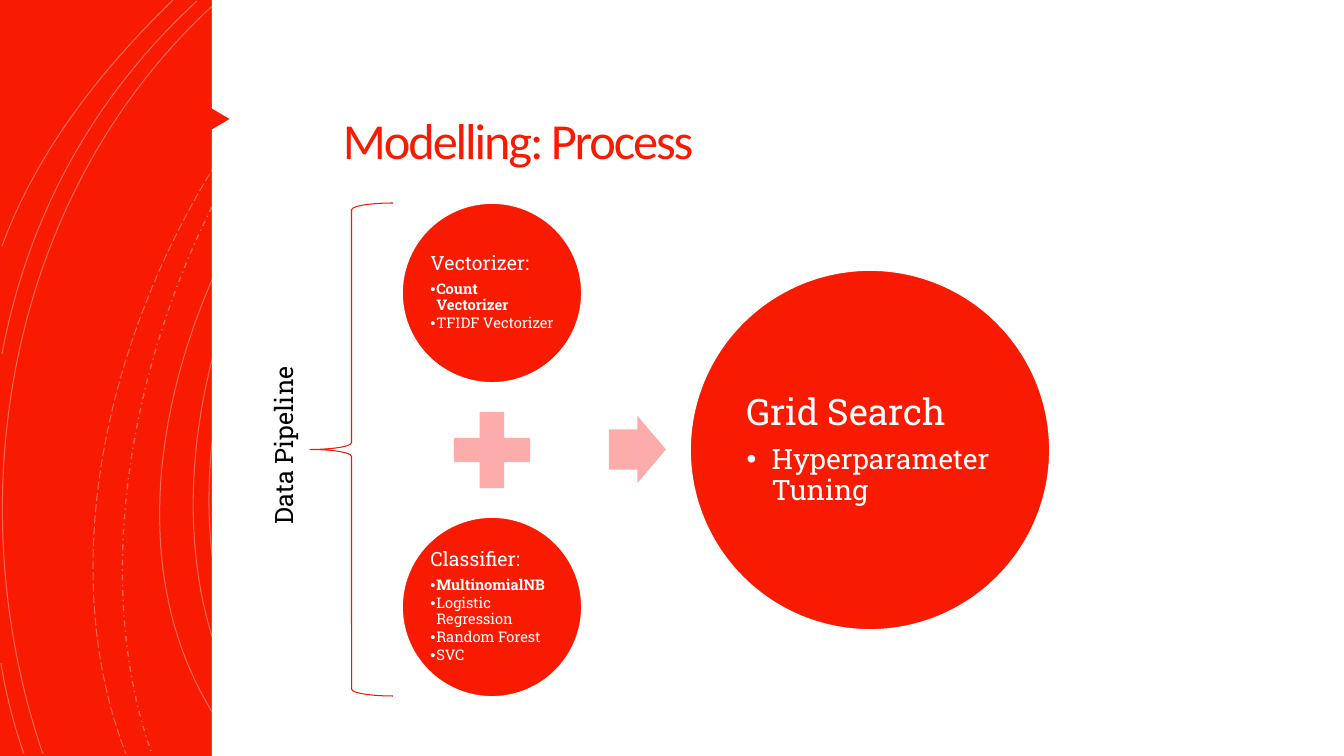
from lxml import etree
from pptx import Presentation
from pptx.dml.color import RGBColor
from pptx.enum.dml import MSO_LINE
from pptx.enum.shapes import MSO_SHAPE
from pptx.enum.text import MSO_ANCHOR, PP_ALIGN
from pptx.oxml.ns import qn
from pptx.util import Emu, Pt

SCALE = 914400 / 100.8
COLORS = {"red": "F81B02", "brace": "ED1A02", "pink": "FBACAB",
          "white": "FFFFFF", "black": "000000"}
SOLID, DASH_DOT, LONG_DASH = MSO_LINE.SOLID, MSO_LINE.DASH_DOT, MSO_LINE.LONG_DASH
RECT, OVAL, TRIANGLE = MSO_SHAPE.RECTANGLE, MSO_SHAPE.OVAL, MSO_SHAPE.ISOSCELES_TRIANGLE
PLUS, ARROW, BRACE = MSO_SHAPE.MATH_PLUS, MSO_SHAPE.RIGHT_ARROW, MSO_SHAPE.LEFT_BRACE
TOP, MIDDLE, LEFT = MSO_ANCHOR.TOP, MSO_ANCHOR.MIDDLE, PP_ALIGN.LEFT
BODY_FONT, TITLE_FONT, BULLET_FONT = "Roboto Slab", "Calibri", "Arial"

# Bezier control points, dash style, line width in points
ARCS = [
    ([(468, 0), (246, 134), (111, 545), (296, 754)], SOLID, 0.75),
    ([(455, 0), (233, 139), (98, 537), (274, 754)], SOLID, 0.75),
    ([(430, 0), (219, 148), (53, 533), (243, 754)], SOLID, 0.75),
    ([(366, 0), (177, 167), (66, 513), (152, 754)], DASH_DOT, 1),
    ([(354, 0), (158, 170), (29, 503), (126, 754)], LONG_DASH, 0.75),
    ([(219, 0), (11, 186), (-46, 494), (43, 754)], SOLID, 0.75),
    ([(197, 1), (93, 97), (28, 216), (2, 354)], SOLID, 0.75),
    ([(1, 663), (6, 695), (14, 725), (24, 754)], SOLID, 0.75),
    ([(173, 0), (101, 70), (37, 151), (2, 246)], SOLID, 0.75),
]


def px(n):
    return Emu(round(n * SCALE))


def rgb(name):
    return RGBColor.from_string(COLORS[name])


def add_shape(s, kind, box, fill=None, line=None, width=0.75):
    sp = s.shapes.add_shape(kind, *map(px, box))
    sp.shadow.inherit = False
    if fill:
        sp.fill.solid()
        sp.fill.fore_color.rgb = rgb(fill)
    else:
        sp.fill.background()
    if line:
        sp.line.color.rgb = rgb(line)
        sp.line.width = Pt(width)
    else:
        sp.line.fill.background()
    return sp


def add_arc(s, points, dash, width):
    start, *rest = [(px(x), px(y)) for x, y in points]
    builder = s.shapes.build_freeform(*start)
    builder.add_line_segments(rest, close=False)
    sp = builder.convert_to_shape()
    # Join the three segments into one cubic curve
    segments = list(sp._element.iter(qn("a:lnTo")))
    curve = etree.SubElement(segments[0].getparent(), qn("a:cubicBezTo"))
    for segment in segments:
        curve.append(segment[0])
        segment.getparent().remove(segment)
    sp.shadow.inherit = False
    sp.fill.background()
    sp.line.color.rgb = rgb("white")
    sp.line.width = Pt(width)
    sp.line.dash_style = dash
    for color in sp._element.iter(qn("a:srgbClr")):
        etree.SubElement(color, qn("a:alpha"), val="35000")


def set_frame(tf, inset_x, inset_y, anchor):
    tf.word_wrap = True
    tf.margin_left = tf.margin_right = px(inset_x)
    tf.margin_top = tf.margin_bottom = px(inset_y)
    tf.vertical_anchor = anchor


def set_text(p, text, size, color, font=BODY_FONT, bold=False):
    p.text = text
    p.alignment = LEFT
    r = p.runs[0]
    r.font.name = font
    r.font.size = Pt(size)
    r.font.bold = bold
    r.font.color.rgb = rgb(color)


def add_label(s, box, text, size, color, insets, font=BODY_FONT):
    sp = s.shapes.add_textbox(*map(px, box))
    set_frame(sp.text_frame, *insets, TOP)
    set_text(sp.text_frame.paragraphs[0], text, size, color, font)
    return sp


def add_step(s, left, top, size, heading, bullets, sizes, indent, inset, bold_first):
    sp = add_shape(s, OVAL, (left, top, size, size), "red", "white", 1.25)
    tf = sp.text_frame
    set_frame(tf, inset, inset, MIDDLE)
    p = tf.paragraphs[0]
    set_text(p, heading, sizes[0], "white")
    p.line_spacing = 0.9
    p.space_after = Pt(round(sizes[0] * 0.35, 1))
    for i, text in enumerate(bullets):
        p = tf.add_paragraph()
        set_text(p, text, sizes[1], "white", bold=bold_first and i == 0)
        p.level = 1
        p.line_spacing = 0.9
        p.space_after = Pt(round(sizes[1] * 0.15, 1))
        pPr = p._p.get_or_add_pPr()
        pPr.set("marL", str(px(indent)))
        pPr.set("indent", str(-px(indent)))
        etree.SubElement(pPr, qn("a:buFont"), typeface=BULLET_FONT)
        etree.SubElement(pPr, qn("a:buChar"), char="•")


def main():
    prs = Presentation()
    prs.slide_width, prs.slide_height = px(1344), px(756)
    s = prs.slides.add_slide(prs.slide_layouts[6])

    # Red side panel with arcs, then the white content area
    add_shape(s, RECT, (0, 0, 1344, 757), "red")
    for points, dash, width in ARCS:
        add_arc(s, points, dash, width)
    add_shape(s, RECT, (212, 0, 1132, 757), "white")

    # Title and its marker
    title = add_label(s, (318, 93, 686, 136), "Modelling: Process", 36, "red",
                      (25, 25), TITLE_FONT)
    p = title.text_frame.paragraphs[0]
    p.line_spacing = 0.85
    p.runs[0].font._element.set("spc", "-150")
    add_shape(s, TRIANGLE, (199, 105, 33, 28), "red").rotation = 90

    # Pipeline steps
    add_step(s, 402, 203, 180, "Vectorizer:", ["Count Vectorizer", "TFIDF Vectorizer"],
             (14, 10.5), 6, 2, True)
    add_shape(s, PLUS, (440, 398, 104, 104), "pink")
    add_step(s, 402, 517, 180, "Classifier:",
             ["MultinomialNB", "Logistic Regression", "Random Forest", "SVC"],
             (14, 10.5), 6, 2, True)

    # Grid search
    arrow = add_shape(s, ARROW, (609, 416, 57, 67), "pink")
    arrow.adjustments[0] = 0.6
    add_step(s, 690, 270, 360, "Grid Search", ["Hyperparameter Tuning"],
             (26, 20), 25, 4, False)

    # Brace and its vertical label
    add_shape(s, BRACE, (310, 203, 83, 493), line="brace")
    label = add_label(s, (177, 408, 212, 40), "Data Pipeline", 18, "black", (10, 5))
    label.rotation = 270

    prs.save("out.pptx")


if __name__ == "__main__":
    main()
